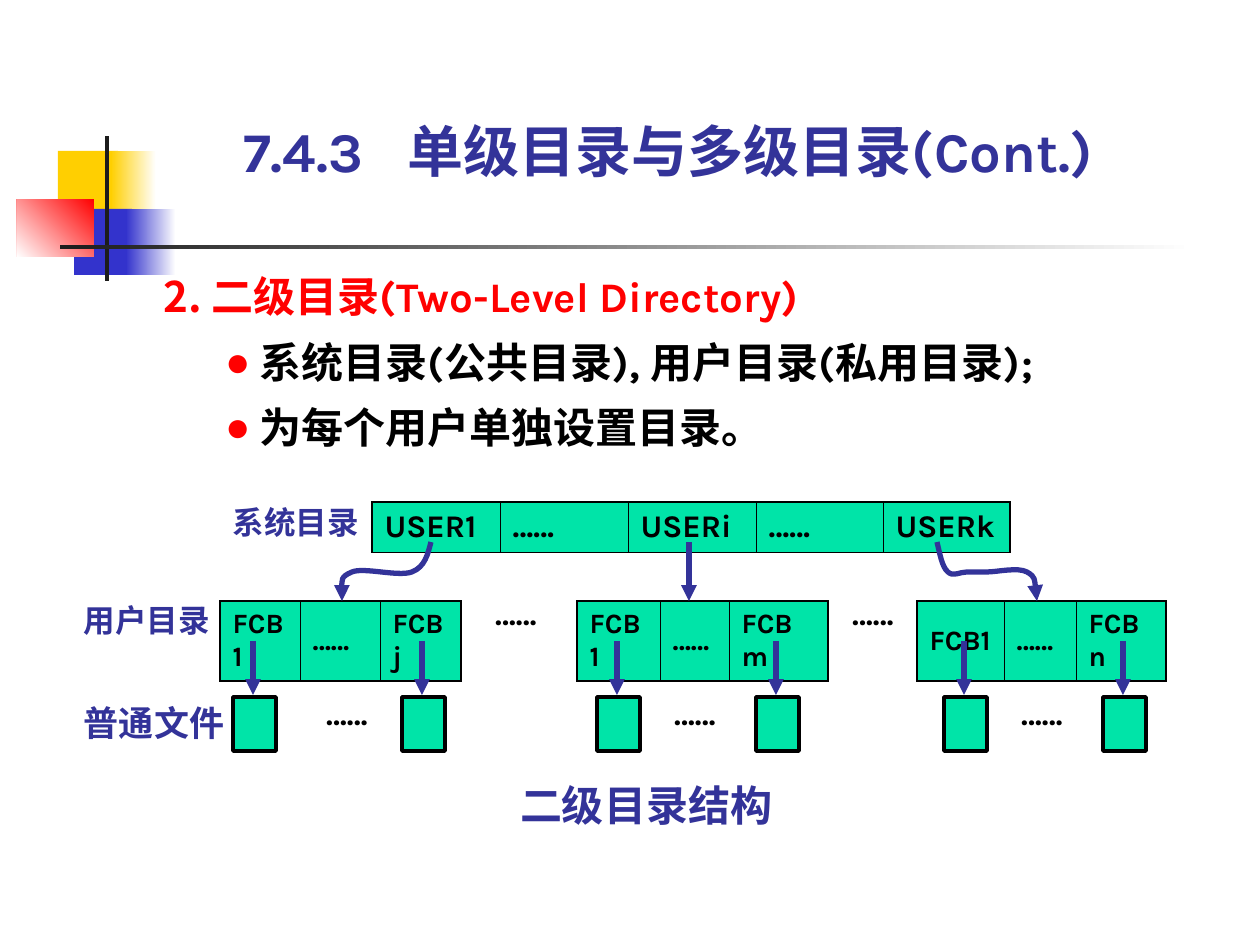
import lxml.etree
import pptx
import pptx.dml.color
import pptx.enum.shapes
import pptx.enum.text
import pptx.oxml.ns
import pptx.util

SCALE = 914400 / 126
GREEN, BLUE, RED, BLACK, WHITE = "00E4A8", "333399", "FF0000", "000000", "FFFFFF"
MIDDLE = pptx.enum.text.MSO_ANCHOR.MIDDLE
BOTTOM = pptx.enum.text.MSO_ANCHOR.BOTTOM
LEFT = pptx.enum.text.PP_ALIGN.LEFT
CENTER = pptx.enum.text.PP_ALIGN.CENTER


def px(length):
    return pptx.util.Emu(round(length * SCALE))


def colour(code):
    return pptx.dml.color.RGBColor.from_string(code)


def apply(target, values):
    for name, value in values.items():
        setattr(target, name, value)


def add_tag(parent, tag, **values):
    return lxml.etree.SubElement(parent, pptx.oxml.ns.qn(tag), values)


class DirectorySlide:
    frame_format = {
        "margin_left": 0, "margin_top": 0, "margin_right": 0, "margin_bottom": 0,
        "word_wrap": True,
        "auto_size": pptx.enum.text.MSO_AUTO_SIZE.SHAPE_TO_FIT_TEXT,
    }
    font_format = {"name": "Karla", "bold": True}

    def __init__(self, deck):
        self.page = deck.slides.add_slide(deck.slide_layouts[1])
        self.shapes = self.page.shapes

    def span(self, para, text, size, code):
        span = para.add_run()
        span.text = text
        apply(span.font, {**self.font_format, "size": pptx.util.Pt(size)})
        span.font.color.rgb = colour(code)

    def placeholder(self, box, at, anchor):
        apply(box, dict(zip(("left", "top", "width", "height"), map(px, at))))
        apply(box.text_frame, {**self.frame_format, "vertical_anchor": anchor})
        self.shapes._spTree.append(box._element)
        return box.text_frame

    def title(self, text, at, tab):
        para = self.placeholder(self.shapes.title, at, BOTTOM).paragraphs[0]
        apply(para, {"alignment": LEFT, "line_spacing": 0.9})
        tabs = add_tag(para._p.get_or_add_pPr(), "a:tabLst")
        add_tag(tabs, "a:tab", pos=str(px(tab)), algn="l")
        self.span(para, text, 32, BLUE)

    def body(self, items, at):
        frame = self.placeholder(self.page.placeholders[1], at, MIDDLE)
        for index, (level, text, code) in enumerate(items):
            para = frame.add_paragraph() if index else frame.paragraphs[0]
            apply(para, {"level": level, "line_spacing": 1.3,
                         "space_before": pptx.util.Pt(0)})
            margin, hanging = ((37, 37), (86, 25))[level]
            props = para._p.get_or_add_pPr()
            props.set("marL", str(px(margin)))
            props.set("indent", str(-px(hanging)))
            add_tag(add_tag(props, "a:buClr"), "a:srgbClr", val=RED)
            if level:
                add_tag(props, "a:buChar", char="●")
            else:
                add_tag(props, "a:buAutoNum", type="arabicPeriod", startAt="2")
            self.span(para, text, 24, code)

    def label(self, text, at, size, code=BLUE, **para_format):
        box = self.shapes.add_textbox(*map(px, at))
        apply(box.text_frame, self.frame_format)
        para = box.text_frame.paragraphs[0]
        apply(para, para_format)
        self.span(para, text, size, code)

    def dots(self, left, top):
        self.label("……", (left, top, 110, 30), 18, BLACK,
                   alignment=CENTER, line_spacing=0.8)

    def rect(self, at, code, fade=None, angle=180, outline=0):
        box = self.shapes.add_shape(pptx.enum.shapes.MSO_SHAPE.RECTANGLE, *map(px, at))
        box.shadow.inherit = False
        if fade:
            box.fill.gradient()
            box.fill.gradient_angle = angle
            for stop, shade in zip(box.fill.gradient_stops, (code, fade)):
                stop.color.rgb = colour(shade)
        else:
            box.fill.solid()
            box.fill.fore_color.rgb = colour(code)
        if outline:
            box.line.color.rgb = colour(BLACK)
            box.line.width = pptx.util.Pt(outline)
        else:
            box.line.fill.background()

    def arrow_line(self, line):
        line.color.rgb = colour(BLUE)
        line.width = pptx.util.Pt(3)
        add_tag(line._get_or_add_ln(), "a:tailEnd", type="triangle")

    def arrow(self, left, top, bottom):
        arrow = self.shapes.add_connector(
            pptx.enum.shapes.MSO_CONNECTOR.STRAIGHT, *map(px, (left, top, left, bottom)))
        self.arrow_line(arrow.line)
        add_tag(arrow._element.spPr, "a:effectLst")

    def curve(self, start, *points):
        builder = self.shapes.build_freeform(*start, scale=SCALE)
        builder.add_line_segments(points, close=False)
        arrow = builder.convert_to_shape()
        arrow.fill.background()
        arrow.shadow.inherit = False
        self.arrow_line(arrow.line)
        steps = list(arrow._element.iter(pptx.oxml.ns.qn("a:lnTo")))
        path = steps[0].getparent()
        for first in range(0, len(steps), 3):
            bezier = add_tag(path, "a:cubicBezTo")
            for step in steps[first:first + 3]:
                bezier.append(step[0])
                path.remove(step)

    def table(self, left, top, widths, texts, size):
        frame = self.shapes.add_table(1, len(texts), *map(px, (left, top, sum(widths), 40)))
        table = frame.table
        apply(table, {"first_row": False, "horz_banding": False})
        last = len(texts) - 1
        for index, (width, text) in enumerate(zip(widths, texts)):
            table.columns[index].width = px(width)
            cell = table.cell(0, index)
            cell.vertical_anchor = MIDDLE
            self.span(cell.text_frame.paragraphs[0], text, size, BLACK)
            edges = {"L": index == 0, "R": index == last, "T": True, "B": True}
            for side, outer in edges.items():
                weight = pptx.util.Pt(1.08 if outer else 0.45)
                edge = add_tag(cell._tc.get_or_add_tcPr(), "a:ln" + side, w=str(weight))
                add_tag(add_tag(edge, "a:solidFill"), "a:srgbClr", val=BLACK)
            cell.fill.solid()
            cell.fill.fore_color.rgb = colour(GREEN)


def main():
    deck = pptx.Presentation()
    deck.slide_width, deck.slide_height = px(1260), px(945)
    slide = DirectorySlide(deck)

    slide.rect((58, 151, 60, 66), "FFCF01")
    slide.rect((111, 151, 45, 66), WHITE, "FFCF01")
    slide.rect((74, 209, 58, 66), "3333CC")
    slide.rect((126, 209, 50, 66), WHITE, "3333CC")
    slide.rect((17, 199, 77, 58), RED, WHITE, angle=225)
    slide.rect((105, 136, 4, 145), "1C1C1C")
    slide.rect((60, 245, 1134, 4), WHITE, "1C1C1C")

    slide.body([(0, " 二级目录(Two-Level Directory)", RED),
                (1, " 系统目录(公共目录), 用户目录(私用目录);", BLACK),
                (1, " 为每个用户单独设置目录。", BLACK)], (164, 223, 903, 262))

    slide.label("系统目录", (233, 503, 149, 38), 18)
    slide.label("用户目录", (84, 601, 149, 38), 18)
    slide.label("普通文件", (84, 701, 149, 42), 20)
    slide.label("二级目录结构", (520, 780, 268, 50), 24)

    slide.table(372, 502, [128, 128, 128, 127, 127],
                ["USER1", "……", "USERi", "……", "USERk"], 18)
    users = [(220, [80, 80, 81], "FCBj", (233, 402), 292),
             (577, [83, 69, 99], "FCBm", (597, 756), 640),
             (917, [87, 72, 90], "FCBn", (944, 1103), 987)]
    for left, widths, final, files, gap in users:
        slide.table(left, 601, widths, ["FCB1", "……", final], 16)
        slide.dots(gap, 701)
        for file in files:
            slide.rect((file, 697, 43, 54), GREEN, outline=2)
            slide.arrow(file + 20, 641, 695)
    for left in (461, 818):
        slide.dots(left, 601)

    slide.curve((431, 542), (428, 554), (425, 567), (412, 572),
                (398, 577), (364, 567), (352, 572),
                (340, 577), (341, 590), (342, 601))
    slide.arrow(689, 542, 601)
    slide.curve((937, 542), (940, 554), (942, 567), (948, 572),
                (953, 577), (960, 572), (967, 572),
                (974, 572), (978, 572), (987, 572),
                (997, 572), (1018, 567), (1027, 572),
                (1036, 577), (1036, 590), (1037, 601))

    slide.title("7.4.3\t单级目录与多级目录(Cont.)", (243, 125, 922, 60), 164)
    deck.save("out.pptx")


if __name__ == "__main__":
    main()
